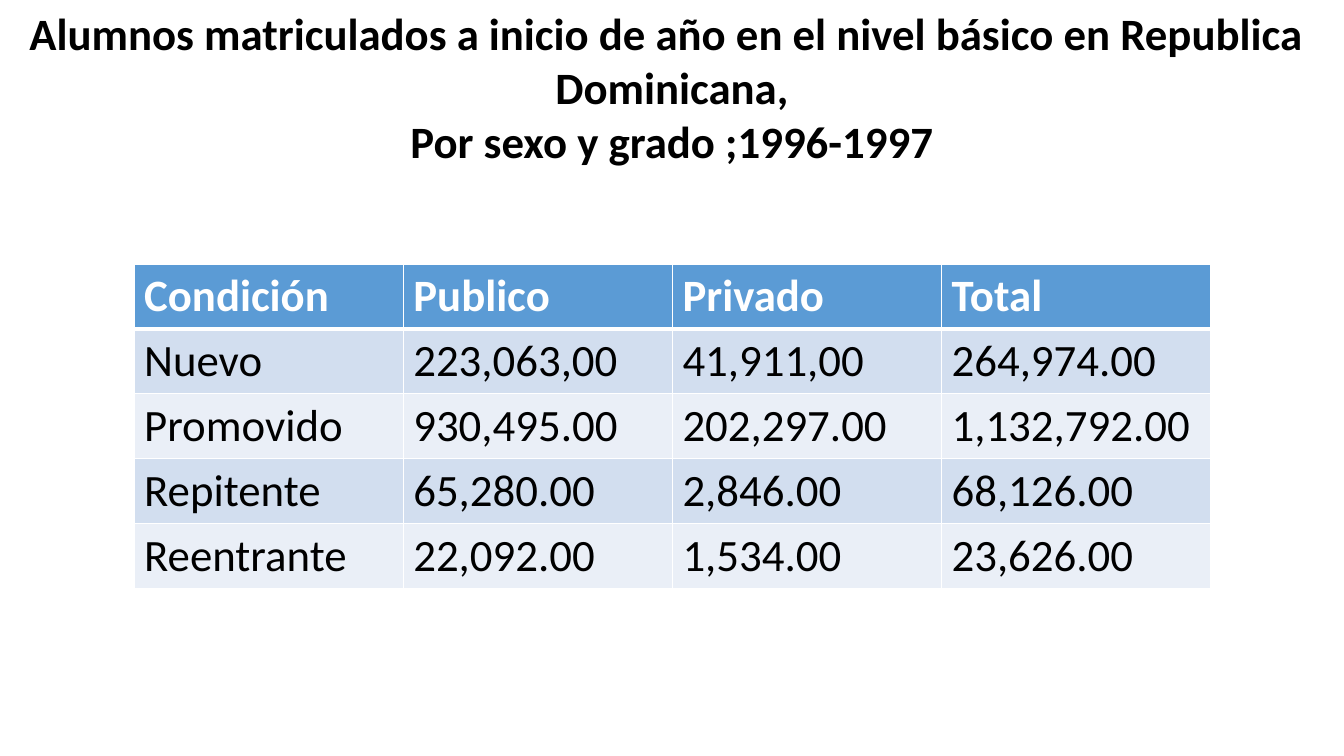
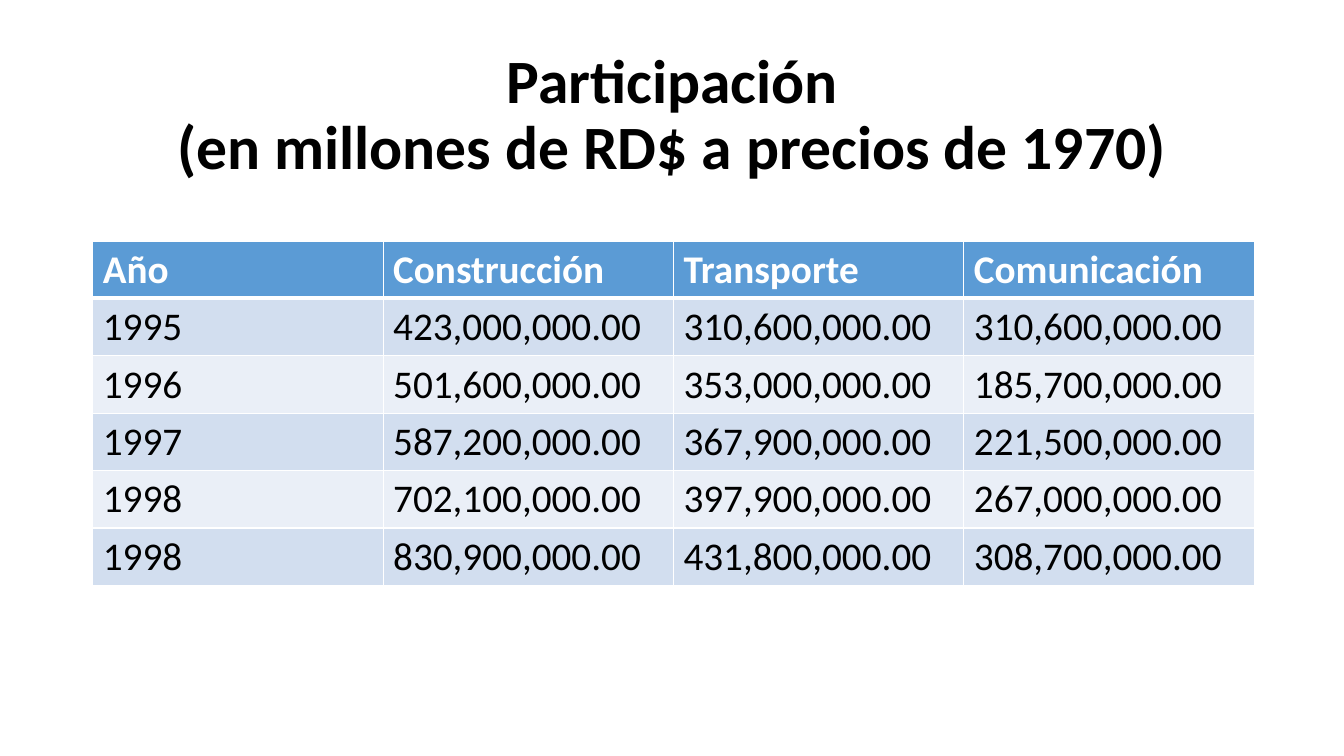
from lxml import etree
from pptx import Presentation
from pptx import util as u
from pptx.dml.color import RGBColor
from pptx.enum import text
from pptx.oxml import ns

PX = 9144  # EMU per px, 100 px to the inch
FONT = "Calibri"
COLORS = {
    "header": "5B9BD5",
    "odd": "D2DEEF",
    "even": "EAEFF7",
    "white": "FFFFFF",
    "black": "000000",
}

ENROLMENT = [
    ["Condición", "Publico", "Privado", "Total"],
    ["Nuevo", "223,063,00", "41,911,00", "264,974.00"],
    ["Promovido", "930,495.00", "202,297.00", "1,132,792.00"],
    ["Repitente", "65,280.00", "2,846.00", "68,126.00"],
    ["Reentrante", "22,092.00", "1,534.00", "23,626.00"],
]
SECTORS = [
    ["Año", "Construcción", "Transporte", "Comunicación"],
    ["1995", "423,000,000.00", "310,600,000.00", "310,600,000.00"],
    ["1996", "501,600,000.00", "353,000,000.00", "185,700,000.00"],
    ["1997", "587,200,000.00", "367,900,000.00", "221,500,000.00"],
    ["1998", "702,100,000.00", "397,900,000.00", "267,000,000.00"],
    ["1998", "830,900,000.00", "431,800,000.00", "308,700,000.00"],
]


def rgb(name):
    return RGBColor.from_string(COLORS[name])


class Deck:
    def __init__(self, width, height):
        self.prs = Presentation()
        self.prs.slide_width = width * PX
        self.prs.slide_height = height * PX
        self.slide = None

    def add_slide(self):
        self.slide = self.prs.slides.add_slide(self.prs.slide_layouts[6])

    def style(self, p, size, color, bold):
        p.font.name = FONT
        p.font.size = u.Pt(size)
        p.font.bold = bold
        p.font.color.rgb = rgb(color)

    def title(self, box, words, size, spacing=1.0, wrap=True):
        """Bold centred title; \\n starts a paragraph, \\v breaks a line."""
        tf = self.slide.shapes.add_textbox(*(v * PX for v in box)).text_frame
        tf.word_wrap = wrap
        tf.vertical_anchor = text.MSO_ANCHOR.MIDDLE
        tf.text = words
        for p in tf.paragraphs:
            p.alignment = text.PP_ALIGN.CENTER
            p.line_spacing = spacing
            self.style(p, size, "black", True)

    def borders(self, cell, top, bottom):
        """White cell borders; the widths are points, 1 at both sides."""
        tc_pr = cell._tc.get_or_add_tcPr()
        widths = {"lnL": 1, "lnR": 1, "lnT": top, "lnB": bottom}
        for i, (tag, width) in enumerate(widths.items()):
            ln = etree.Element(ns.qn("a:" + tag), w=str(u.Pt(width)))
            fill = etree.SubElement(ln, ns.qn("a:solidFill"))
            etree.SubElement(fill, ns.qn("a:srgbClr"), val=COLORS["white"])
            tc_pr.insert(i, ln)

    def table(self, x, y, col_width, row_height, data, size):
        rows, cols = len(data), len(data[0])
        table = self.slide.shapes.add_table(
            rows, cols, x * PX, y * PX,
            cols * col_width * PX, rows * row_height * PX).table
        for r, values in enumerate(data):
            header = r == 0
            fill = "header" if header else "odd" if r % 2 else "even"
            for c, value in enumerate(values):
                cell = table.cell(r, c)
                cell.text = value
                cell.fill.solid()
                cell.fill.fore_color.rgb = rgb(fill)
                self.style(cell.text_frame.paragraphs[0], size,
                           "white" if header else "black", header)
                self.borders(cell, 3 if r == 1 else 1, 3 if header else 1)


def main():
    deck = Deck(1333, 750)

    deck.add_slide()
    deck.table(133, 262, 267, 64, ENROLMENT, 32)
    deck.title((14, 0, 1305, 172),
               "Alumnos matriculados a inicio de año en el nivel básico en Republica \n"
               "Dominicana,\nPor sexo y grado ;1996-1997", 32, wrap=False)

    deck.add_slide()
    deck.title((92, 43, 1150, 145),
               "Participación\v(en millones de RD$ a precios de 1970)", 44, spacing=0.9)
    deck.table(92, 239, 288, 57, SECTORS, 28)

    deck.prs.save("out.pptx")


if __name__ == "__main__":
    main()
